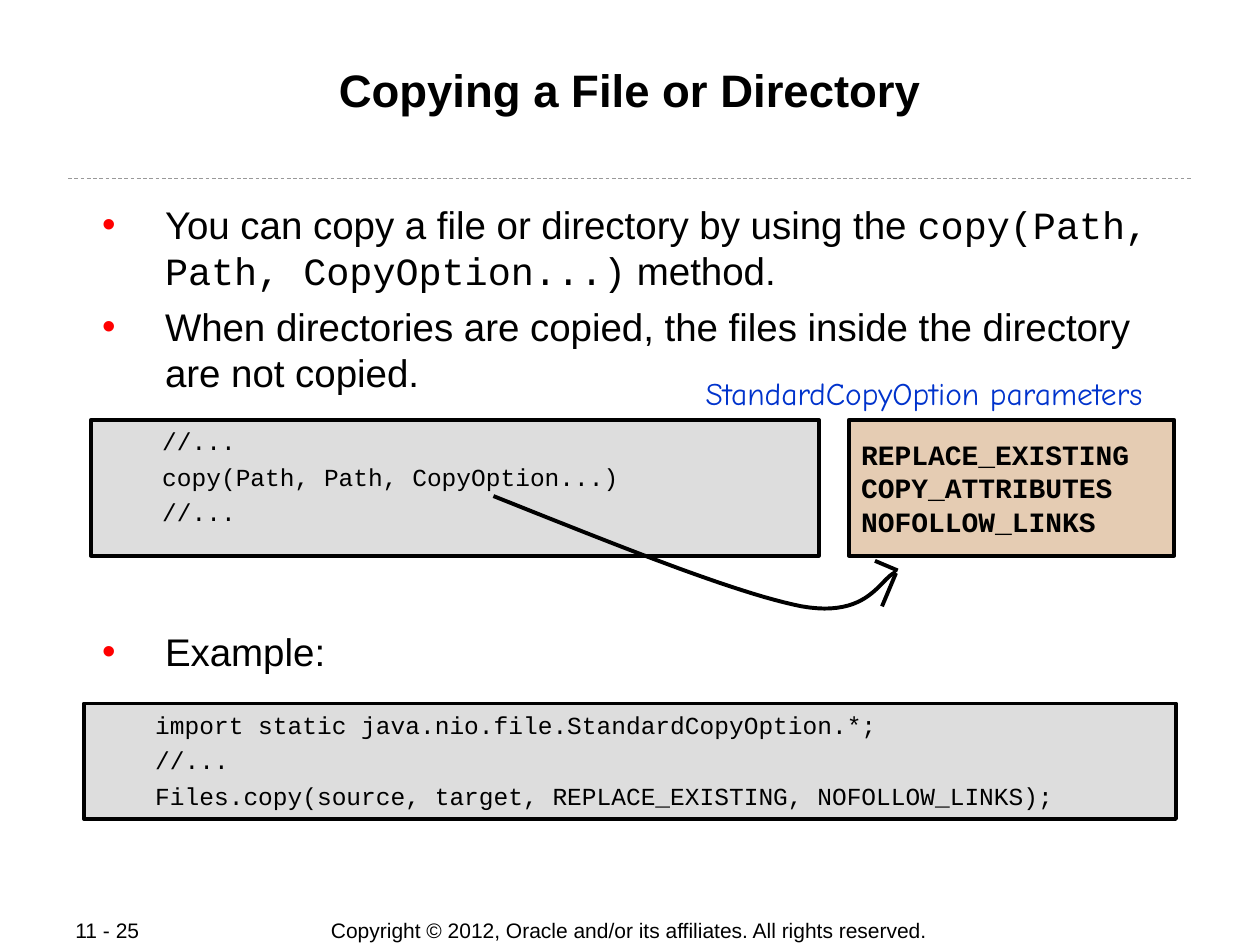
from lxml.etree import SubElement
from pptx import Presentation
from pptx.dml.color import RGBColor
from pptx.enum.dml import MSO_LINE
from pptx.enum.shapes import MSO_CONNECTOR, MSO_SHAPE
from pptx.enum.text import MSO_ANCHOR as Anchor, MSO_AUTO_SIZE as AutoSize, PP_ALIGN as Align
from pptx.oxml.ns import qn
from pptx.util import Pt

BLACK = RGBColor(0x00, 0x00, 0x00)
RED = RGBColor(0xFF, 0x00, 0x00)
BLUE = RGBColor(0x00, 0x33, 0xCC)
GRAY = RGBColor(0x99, 0x99, 0x99)
CODE_FILL = RGBColor(0xDD, 0xDD, 0xDD)
OPTION_FILL = RGBColor(0xE5, 0xCC, 0xB3)
SANS, MONO, HAND = "Arial", "Courier New", "Comic Neue"


def place(shape, left, top, width, height):
    shape.left, shape.top = Pt(left), Pt(top)
    shape.width, shape.height = Pt(width), Pt(height)


def prepare_frame(shape, anchor=Anchor.TOP, side=7.2, edge=3.6, wrap=True):
    frame = shape.text_frame
    frame.auto_size = AutoSize.NONE
    frame.word_wrap = wrap
    frame.vertical_anchor = anchor
    frame.margin_left = frame.margin_right = Pt(side)
    frame.margin_top = frame.margin_bottom = Pt(edge)
    return frame


def next_paragraph(frame, index, space, align=Align.LEFT):
    paragraph = frame.add_paragraph() if index else frame.paragraphs[0]
    paragraph.alignment = align
    paragraph.space_before = Pt(space if index else 0)
    return paragraph


def add_run(paragraph, text, size, font=SANS, color=BLACK, bold=False):
    run = paragraph.add_run()
    run.text = text
    run.font.name, run.font.size, run.font.bold = font, Pt(size), bold
    run.font.color.rgb = color


def fill_title(shape, text):
    place(shape, 48, 34.5, 624, 69)
    frame = prepare_frame(shape, side=0.72, edge=0.72)
    add_run(next_paragraph(frame, 0, 0, Align.CENTER), text, 26, bold=True)


def set_bullet(paragraph):
    paragraph.level = 1
    properties = paragraph._p.get_or_add_pPr()
    properties.set("marL", str(Pt(45.36)))
    properties.set("indent", str(Pt(-36)))
    color = SubElement(properties, qn("a:buClr"))
    SubElement(color, qn("a:srgbClr")).set("val", str(RED))
    SubElement(properties, qn("a:buFont")).set("typeface", SANS)
    SubElement(properties, qn("a:buChar")).set("char", "•")


def fill_body(shape, items):
    place(shape, 48.25, 114, 624, 273)
    frame = prepare_frame(shape, side=0.72, edge=0.72)
    for index, (space, runs) in enumerate(items):
        paragraph = next_paragraph(frame, index, space)
        set_bullet(paragraph)
        for text, font in runs:
            add_run(paragraph, text, 22, font)


def add_box(slide, bounds, fill):
    shape = slide.shapes.add_shape(MSO_SHAPE.RECTANGLE, *map(Pt, bounds))
    shape.shadow.inherit = False
    shape.fill.solid()
    shape.fill.fore_color.rgb = fill
    shape.line.color.rgb = BLACK
    shape.line.width = Pt(2.25)
    return shape


def add_code_box(slide, bounds, lines):
    frame = prepare_frame(add_box(slide, bounds, CODE_FILL))
    for index, line in enumerate(lines):
        add_run(next_paragraph(frame, index, 3.5), "    " + line, 14, MONO)


def add_option_box(slide, bounds, options):
    frame = prepare_frame(add_box(slide, bounds, OPTION_FILL), Anchor.MIDDLE)
    paragraph = next_paragraph(frame, 0, 0)
    for index, option in enumerate(options):
        if index:
            paragraph.add_line_break()
        add_run(paragraph, option, 16, MONO, bold=True)


def add_label(slide, bounds, text, size, font=SANS, color=BLACK,
              align=Align.CENTER, anchor=Anchor.MIDDLE):
    shape = slide.shapes.add_textbox(*map(Pt, bounds))
    frame = prepare_frame(shape, anchor, wrap=align != Align.CENTER)
    add_run(next_paragraph(frame, 0, 0, align), text, size, font, color)


def add_line(slide, start, end, color=BLACK, width=2.25, dash=None):
    line = slide.shapes.add_connector(MSO_CONNECTOR.STRAIGHT, *map(Pt, start + end))
    line.line.color.rgb = color
    line.line.width = Pt(width)
    if dash:
        line.line.dash_style = dash
    SubElement(line._element.spPr, qn("a:effectLst"))


def bezier_points(start, control_1, control_2, end, steps=24):
    for step in range(1, steps + 1):
        t = step / steps
        weights = ((1 - t) ** 3, 3 * t * (1 - t) ** 2, 3 * t ** 2 * (1 - t), t ** 3)
        yield tuple(
            Pt(sum(weight * value for weight, value in zip(weights, values)))
            for values in zip(start, control_1, control_2, end)
        )


def add_curve(slide, start, segments):
    builder = slide.shapes.build_freeform(Pt(start[0]), Pt(start[1]))
    for segment in segments:
        builder.add_line_segments(bezier_points(start, *segment), close=False)
        start = segment[-1]
    curve = builder.convert_to_shape()
    curve.shadow.inherit = False
    curve.fill.background()
    curve.line.color.rgb = BLACK
    curve.line.width = Pt(2.25)


def main():
    presentation = Presentation()
    presentation.slide_width, presentation.slide_height = Pt(720), Pt(540)
    slide = presentation.slides.add_slide(presentation.slide_layouts[1])

    add_label(slide, (180, 524, 359, 15),
              "Copyright © 2012, Oracle and/or its affiliates. All rights reserved.", 12)
    add_label(slide, (36, 524, 76, 15), "11 - 25", 12, align=Align.LEFT)
    add_line(slide, (39, 102), (681, 102), GRAY, 0.5, MSO_LINE.DASH)

    fill_title(slide.shapes.title, "Copying a File or Directory")
    fill_body(slide.placeholders[1], [
        (0, [("You can copy a file or directory by using the ", SANS),
             ("copy(Path, Path, CopyOption...)", MONO),
             (" method.", SANS)]),
        (5.5, [("When directories are copied, the files inside the directory are not copied.",
                SANS)]),
        (133, [("Example:", SANS)]),
    ])

    add_code_box(slide, (52, 240, 416, 77.5),
                 ["//...", "copy(Path, Path, CopyOption...)", "//..."])
    add_option_box(slide, (485, 240, 186, 77.5),
                   ["REPLACE_EXISTING", "COPY_ATTRIBUTES", "NOFOLLOW_LINKS"])
    add_line(slide, (513, 326), (500, 320.5))
    add_line(slide, (512, 327.5), (504, 346.5))
    add_curve(slide, (282, 283.5), [
        ((351, 311), (420, 339), (458, 346.5)),
        ((497, 353.5), (503, 330), (512, 327)),
    ])
    add_label(slide, (380.5, 210, 295, 29), "StandardCopyOption parameters", 18,
              HAND, BLUE, anchor=Anchor.TOP)
    add_code_box(slide, (48, 402, 624, 66), [
        "import static java.nio.file.StandardCopyOption.*;",
        "//...",
        "Files.copy(source, target, REPLACE_EXISTING, NOFOLLOW_LINKS);",
    ])
    presentation.save("out.pptx")


if __name__ == "__main__":
    main()
